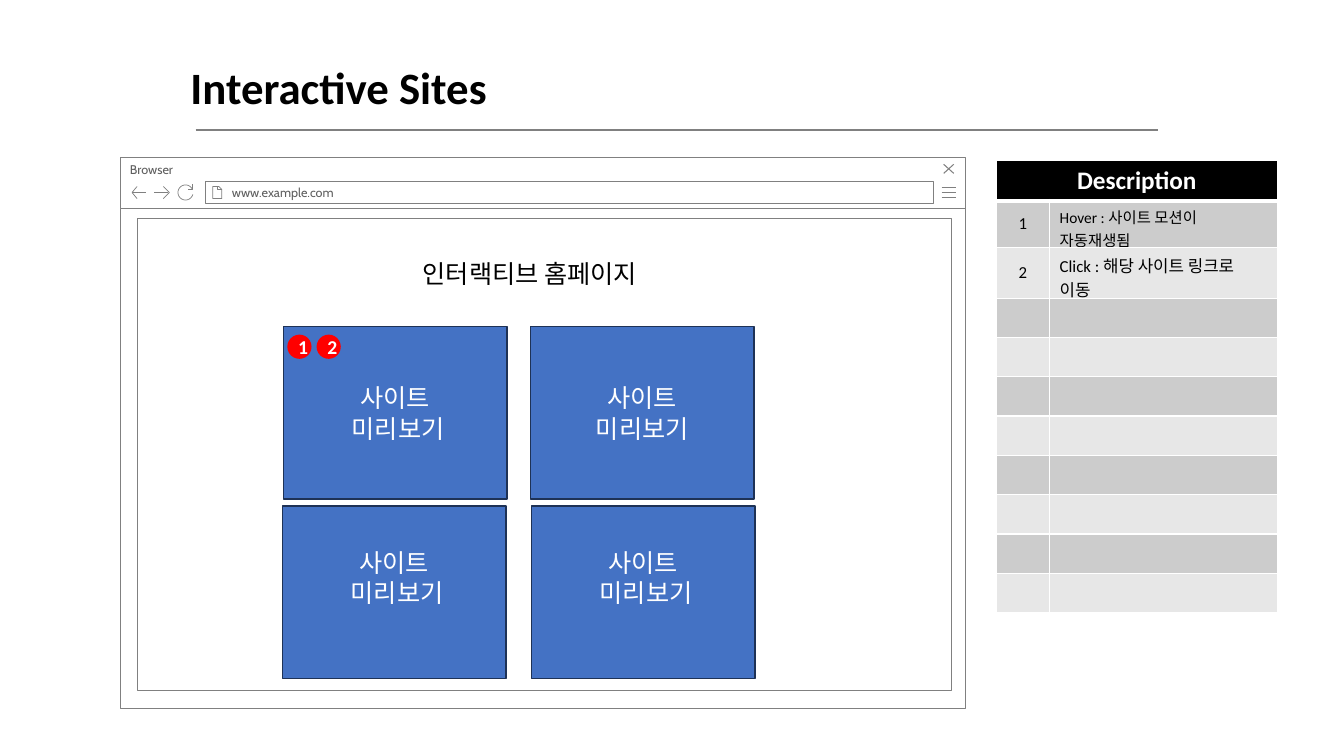
import math
from lxml import etree
from pptx import Presentation
from pptx import util as u
from pptx.dml.color import RGBColor
from pptx.enum import shapes, text
from pptx.oxml.ns import qn

COLORS = {"black": "000000", "white": "FFFFFF", "gray": "808080", "ink": "5F5F5F",
          "tile": "4472C4", "edge": "1E3256", "badge": "FF0000",
          "odd": "CCCCCC", "even": "E7E7E7"}
TITLE = "Interactive Sites"
HEADING = "인터랙티브 홈페이지"
DESCRIPTIONS = [("1", "Hover : 사이트 모션이 자동재생됨", 11),
                ("2", "Click : 해당 사이트 링크로 이동", 12)]
TABLE_AT = (9.88, 1.59, 2.79, 4.49)
COLUMN_WIDTHS = [0.53, 2.26]
ROW_HEIGHTS = [0.35, 0.44, 0.44] + [0.39] * 8
TILE_SIZE = (2.22, 1.71)
# left, top, text, bottom inset
TILES = [(2.81, 3.24, "사이트\n 미리보기", 0.05), (5.26, 3.24, "사이트\n미리보기", 0.05),
         (2.8, 5.02, "사이트\n 미리보기", 0.35), (5.27, 5.02, "사이트\n 미리보기", 0.35)]
BADGES = [("1", 2.85), ("2", 3.14)]

RELOAD_ARC = [(1.84 + 0.075 * math.cos(math.radians(a)), 1.91 + 0.075 * math.sin(math.radians(a)))
              for a in range(15, 331, 15)]
# line width, strokes
ICONS = {
    "menu": (0.5, [[(9.34, y), (9.48, y)] for y in (1.86, 1.91, 1.96)]),
    "close": (0.75, [[(9.46, 1.63), (9.36, 1.72)], [(9.36, 1.63), (9.46, 1.72)]]),
    "page": (0.5, [[(2.16, 1.85), (2.16, 1.88), (2.2, 1.88)],
                   [(2.11, 1.85), (2.11, 1.97), (2.2, 1.97), (2.2, 1.88), (2.17, 1.85), (2.11, 1.85)]]),
    "back": (0.5, [[(1.36, 1.97), (1.31, 1.91), (1.36, 1.85)], [(1.31, 1.91), (1.45, 1.91)]]),
    "forward": (0.5, [[(1.62, 1.85), (1.68, 1.91), (1.62, 1.97)], [(1.67, 1.91), (1.53, 1.91)]]),
    "reload": (0.5, [[(1.91, 1.83), (1.91, 1.88), (1.86, 1.88)], RELOAD_ARC]),
}


def rgb(name):
    return RGBColor.from_string(COLORS[name])


def write(tf, words, size, color, font="Calibri", bold=False, align=text.PP_ALIGN.CENTER):
    tf.text = words
    for p in tf.paragraphs:
        p.alignment = align
        for r in p.runs:
            r.font.size, r.font.name, r.font.bold = u.Pt(size), font, bold
            r.font.color.rgb = rgb(color)


def outline(sp, color, width):
    sp.shadow.inherit = False
    if color:
        sp.line.color.rgb = rgb(color)
        sp.line.width = u.Pt(width)
    else:
        sp.line.fill.background()


def box(s, at, fill="white", line=None, width=0.5, kind=shapes.MSO_SHAPE.RECTANGLE,
        insets=(0.1, 0.05, 0.1, 0.05), anchor=text.MSO_ANCHOR.MIDDLE):
    sp = s.shapes.add_shape(kind, *map(u.Inches, at))
    sp.fill.solid()
    sp.fill.fore_color.rgb = rgb(fill)
    outline(sp, line, width)
    tf = sp.text_frame
    tf.margin_left, tf.margin_top, tf.margin_right, tf.margin_bottom = map(u.Inches, insets)
    tf.vertical_anchor = anchor
    return sp


def draw_icon(s, width, strokes):
    strokes = [[(u.Inches(x), u.Inches(y)) for x, y in stroke] for stroke in strokes]
    pen = s.shapes.build_freeform(*strokes[0][0])
    for i, stroke in enumerate(strokes):
        if i:
            pen.move_to(*stroke[0])
        pen.add_line_segments(stroke[1:], close=False)
    sp = pen.convert_to_shape()
    sp.fill.background()
    outline(sp, "gray", width)


def style_cell(cell, fill, bottom=1):
    """Fill the cell and give it white borders, the lower one as wide as asked."""
    tc_pr = cell._tc.get_or_add_tcPr()
    for side, width in (("L", 1), ("R", 1), ("T", 1), ("B", bottom)):
        ln = etree.SubElement(tc_pr, qn(f"a:ln{side}"), w=str(u.Pt(width)))
        solid = etree.SubElement(ln, qn("a:solidFill"))
        etree.SubElement(solid, qn("a:srgbClr"), val=COLORS["white"])
    cell.fill.solid()
    cell.fill.fore_color.rgb = rgb(fill)


def draw_browser(s):
    left, top = text.PP_ALIGN.LEFT, text.MSO_ANCHOR.TOP
    box(s, (1.19, 2.07, 8.38, 4.96), line="gray")
    bar = box(s, (1.19, 1.56, 8.38, 0.51), line="gray", insets=(0.1, 0.05, 0.25, 0.05), anchor=top)
    write(bar.text_frame, "Browser", 9, "ink", "Cabin", align=left)
    address = box(s, (2.04, 1.8, 7.22, 0.22), line="gray", insets=(0.26, 0.05, 0.1, 0.05))
    write(address.text_frame, "www.example.com", 9, "ink", "Cabin", align=left)
    for width, strokes in ICONS.values():
        draw_icon(s, width, strokes)
    box(s, (1.36, 2.17, 8.08, 4.68), line="gray")


def draw_title(s):
    sp = s.shapes.add_textbox(*map(u.Inches, (1.79, 0.54, 3.61, 0.64)))
    sp.text_frame.word_wrap = False
    write(sp.text_frame, TITLE, 32, "black", bold=True, align=text.PP_ALIGN.LEFT)
    rule = s.shapes.add_connector(shapes.MSO_CONNECTOR.STRAIGHT,
                                  *map(u.Inches, (1.94, 1.29, 11.49, 1.29)))
    rule.line.color.rgb = rgb("gray")
    rule.line.width = u.Pt(1.5)
    etree.SubElement(rule._element.spPr, qn("a:effectLst"))


def draw_table(s):
    table = s.shapes.add_table(len(ROW_HEIGHTS), 2, *map(u.Inches, TABLE_AT)).table
    for column, width in zip(table.columns, COLUMN_WIDTHS):
        column.width = u.Inches(width)
    for row, height in zip(table.rows, ROW_HEIGHTS):
        row.height = u.Inches(height)
    table.cell(0, 0).merge(table.cell(0, 1))
    for i, row in enumerate(table.rows):
        for cell in row.cells:
            style_cell(cell, "black" if i == 0 else "odd" if i % 2 else "even", 1 if i else 3)
            if i > len(DESCRIPTIONS):
                p = cell.text_frame.paragraphs[0]
                etree.SubElement(p._p, qn("a:endParaRPr"), sz="1200")
    write(table.cell(0, 0).text_frame, "Description", 18, "white", bold=True)
    for i, (number, words, size) in enumerate(DESCRIPTIONS, 1):
        key, note = table.cell(i, 0), table.cell(i, 1)
        key.vertical_anchor = note.vertical_anchor = text.MSO_ANCHOR.MIDDLE
        write(key.text_frame, number, 12, "black")
        write(note.text_frame, words, size, "black", align=text.PP_ALIGN.LEFT)


def draw_page(s):
    heading = box(s, (3.44, 2.39, 3.63, 0.65))
    write(heading.text_frame, HEADING, 18, "black")
    for left, top, words, bottom in TILES:
        tile = box(s, (left, top, *TILE_SIZE), "tile", "edge", 1, insets=(0.1, 0.05, 0.1, bottom))
        write(tile.text_frame, words, 18, "white")
    for number, left in BADGES:
        badge = box(s, (left, 3.32, 0.24, 0.24), "badge", kind=shapes.MSO_SHAPE.OVAL)
        write(badge.text_frame, number, 14, "white", bold=True)


def main():
    prs = Presentation()
    prs.slide_width, prs.slide_height = u.Inches(13.33), u.Inches(7.5)
    s = prs.slides.add_slide(prs.slide_layouts[6])
    draw_browser(s)
    draw_title(s)
    draw_table(s)
    draw_page(s)
    prs.save("out.pptx")


if __name__ == "__main__":
    main()
